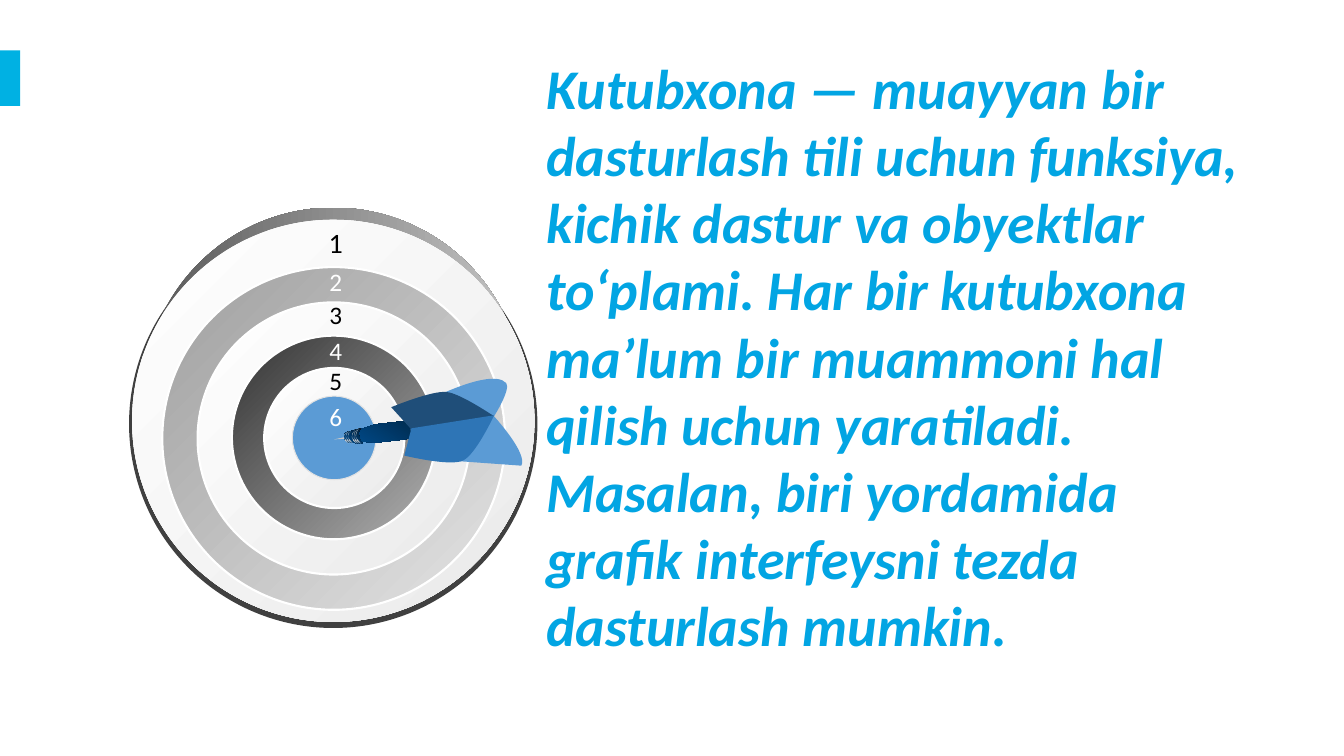
from dataclasses import dataclass
from math import cos, radians, sin

from pptx import Presentation
from pptx.dml.color import RGBColor
from pptx.dml.fill import FillFormat
from pptx.enum.shapes import MSO_SHAPE as Preset
from pptx.enum.text import MSO_ANCHOR as Anchor, PP_ALIGN as Align
from pptx.oxml.ns import qn
from pptx.oxml.xmlchemy import OxmlElement
from pptx.shapes.autoshape import Shape
from pptx.slide import Slide
from pptx.text.text import TextFrame
from pptx.util import Inches, Pt

FONT = "Calibri"
DART_TURN = 125.4
BLACK = RGBColor(0x00, 0x00, 0x00)
WHITE = RGBColor(0xFF, 0xFF, 0xFF)
PALE = RGBColor(0xEA, 0xEA, 0xEA)
RIM = RGBColor(0x40, 0x40, 0x40)
ACCENT = RGBColor(0x00, 0xB1, 0xE3)
TEXT_BLUE = RGBColor(0x02, 0xA5, 0xE3)
BLUE = RGBColor(0x5B, 0x9B, 0xD5)
MID_BLUE = RGBColor(0x2E, 0x75, 0xB6)
NAVY = RGBColor(0x1F, 0x4E, 0x79)
SILVER = RGBColor(0xC9, 0xC9, 0xC9)
EDGE_GRAY = RGBColor(0xE2, 0xE2, 0xE2)

Point = tuple[float, float]
Paint = tuple[RGBColor, ...]  # one colour is solid, two make a gradient
LIGHT: Paint = (WHITE, PALE)
GRAY: Paint = (RGBColor(0x9F, 0x9F, 0x9F), RGBColor(0xE4, 0xE4, 0xE4))
DARK: Paint = (RGBColor(0x33, 0x33, 0x33), RGBColor(0xB1, 0xB1, 0xB1))
SHADE: Paint = (RGBColor(0x58, 0x58, 0x58), RGBColor(0xC4, 0xC4, 0xC4))
STEEL: Paint = (RGBColor(0x00, 0x06, 0x0B), RGBColor(0x00, 0x61, 0xB2))

EXPLANATION = (
    "Kutubxona — muayyan bir dasturlash tili uchun funksiya, kichik dastur va "
    "obyektlar toʻplami. Har bir kutubxona maʼlum bir muammoni hal qilish uchun "
    "yaratiladi. Masalan, biri yordamida grafik interfeysni tezda dasturlash mumkin."
)


@dataclass(frozen=True)
class Disc:
    left: float
    top: float
    size: float
    paint: Paint
    line: RGBColor | None = None
    line_width: float = 1.5
    angle: float = 45


@dataclass(frozen=True)
class RingNumber:
    top: float
    color: RGBColor
    size: int = 18


@dataclass(frozen=True)
class DartPart:
    """Outline steps are end points (x, y) or Bézier curves of three points."""
    start: Point
    steps: tuple[tuple[float, ...], ...]
    paint: Paint


DISCS = [
    Disc(1.28, 2.18, 4.05, (RIM,)),
    Disc(1.42, 2.06, 3.77, SHADE, angle=0),
    Disc(1.31, 2.18, 3.99, LIGHT),
    Disc(1.61, 2.65, 3.4, GRAY, WHITE),
    Disc(1.96, 3, 2.7, LIGHT, WHITE),
    Disc(2.3, 3.33, 2.02, DARK, WHITE),
    Disc(2.62, 3.65, 1.39, LIGHT, WHITE),
    Disc(2.9, 3.93, 0.83, (BLUE,), EDGE_GRAY, 0.75),
]

NUMBERS = [
    RingNumber(2.31, BLACK, 20),
    RingNumber(2.7, WHITE),
    RingNumber(3.03, BLACK),
    RingNumber(3.38, WHITE),
    RingNumber(3.68, BLACK),
    RingNumber(4.04, WHITE),
]

DART = [
    # Barrel
    DartPart((3.74, 4.39), ((4.01, 4.36), (4.49, 4.25), (4.49, 4.25, 4.58, 4.26, 4.42, 4.2),
                            (3.99, 4.18), (3.72, 4.21), (3.51, 4.28),
                            (3.51, 4.28, 3.46, 4.33, 3.53, 4.38)), STEEL),
    # Flights
    DartPart((4.9, 4.13), ((4.9, 4.13, 5.07, 3.86, 5.02, 3.8),
                           (4.85, 3.62, 4.05, 4.07, 4.05, 4.07), (4.07, 4.25)), (BLUE,)),
    DartPart((5.17, 4.62), ((5.24, 4.5, 4.9, 4.13, 4.9, 4.13), (4.07, 4.26), (4.2, 4.55)),
             (BLUE,)),
    DartPart((4.9, 4.13), ((4.9, 4.13, 4.56, 3.9, 4.43, 3.89),
                           (4.29, 3.87, 3.88, 4.04, 3.88, 4.04), (4.08, 4.26)), (NAVY,)),
    DartPart((4.9, 4.12), ((4.9, 4.12, 4.72, 4.51, 4.59, 4.57),
                           (4.46, 4.63, 4.01, 4.52, 4.01, 4.52), (4.08, 4.25)), (MID_BLUE,)),
    # Point and sleeve
    DartPart((3.31, 4.36), ((3.45, 4.33), (3.47, 4.35)), (SILVER,)),
    DartPart((3.6, 4.4), ((3.6, 4.4, 3.57, 4.38, 3.56, 4.32),
                          (3.55, 4.27, 3.58, 4.25, 3.58, 4.25), (3.43, 4.29),
                          (3.43, 4.29, 3.38, 4.34, 3.45, 4.39)), STEEL),
]

# Right end and top of each grip band
BANDS = [(3.56, 4.26), (3.58, 4.25), (3.54, 4.27), (3.48, 4.28), (3.5, 4.28), (3.46, 4.29)]


def grip_band(right: float, top: float) -> DartPart:
    inner, outer = right - 0.04, right - 0.05
    return DartPart((right, 4.4), (
        (right - 0.03, 4.39, outer, 4.36, outer, 4.33),
        (outer, 4.31, inner, top + 0.02, right - 0.02, top),
        (inner, top + 0.02, outer - 0.01, 4.31, outer, 4.34),
    ), (SILVER,))


def apply_paint(fill: FillFormat, paint: Paint, angle: float) -> None:
    if len(paint) == 1:
        fill.solid()
        fill.fore_color.rgb = paint[0]
        return
    fill.gradient()
    fill.gradient_angle = (360 - angle) % 360
    for stop, color, position in zip(fill.gradient_stops, paint, (0, 1)):
        stop.color.rgb = color
        stop.position = position


def finish(shape: Shape, paint: Paint, angle: float = 0) -> None:
    shape.shadow.inherit = False
    shape.line.fill.background()
    apply_paint(shape.fill, paint, angle)


def add_disc(page: Slide, disc: Disc) -> None:
    shape = page.shapes.add_shape(Preset.OVAL, Inches(disc.left), Inches(disc.top),
                                  Inches(disc.size), Inches(disc.size))
    finish(shape, disc.paint, disc.angle)
    if disc.line is not None:
        shape.line.color.rgb = disc.line
        shape.line.width = Pt(disc.line_width)


def turn(point: Point, degrees: float) -> Point:
    x, y = point
    c, s = cos(radians(degrees)), sin(radians(degrees))
    return x * c - y * s, x * s + y * c


def bend(shape: Shape, steps: tuple[tuple[float, ...], ...]) -> None:
    """Join the three segments of each curved step into one Bézier curve."""
    segments = iter(list(shape.element.iter(qn("a:lnTo"))))
    for step in steps:
        group = [next(segments) for _ in range(len(step) // 2)]
        if len(group) == 3:
            curve = OxmlElement("a:cubicBezTo")
            group[0].addprevious(curve)
            for segment in group:
                curve.append(segment[0])
                segment.getparent().remove(segment)


def add_dart_part(page: Slide, part: DartPart) -> None:
    knots = [part.start]
    for step in part.steps:
        knots += zip(step[::2], step[1::2])
    corners = [(Inches(x), Inches(y)) for x, y in (turn(knot, -DART_TURN) for knot in knots)]
    builder = page.shapes.build_freeform(*corners[0])
    builder.add_line_segments(corners[1:], close=True)
    shape = builder.convert_to_shape()
    bend(shape, part.steps)
    center = (shape.left + shape.width / 2, shape.top + shape.height / 2)
    x, y = turn(center, DART_TURN)
    shape.left, shape.top = round(x - shape.width / 2), round(y - shape.height / 2)
    shape.rotation = DART_TURN
    finish(shape, part.paint)


def write(frame: TextFrame, text: str, size: int, color: RGBColor, strong: bool = False) -> None:
    frame.text = text
    span = frame.paragraphs[0].runs[0]
    span.font.name, span.font.size = FONT, Pt(size)
    span.font.bold = span.font.italic = strong
    span.font.color.rgb = color


def add_number(page: Slide, text: str, number: RingNumber) -> None:
    box = page.shapes.add_textbox(Inches(3.2), Inches(number.top), Inches(0.26), Inches(0.28))
    frame = box.text_frame
    write(frame, text, number.size, number.color)
    frame.word_wrap = False
    frame.margin_left = frame.margin_right = Inches(0.05)
    frame.vertical_anchor = Anchor.MIDDLE
    para = frame.paragraphs[0]
    para.alignment, para.line_spacing = Align.CENTER, 0.6


def main() -> None:
    deck = Presentation()
    deck.slide_width, deck.slide_height = Inches(13.33), Inches(7.5)
    page = deck.slides.add_slide(deck.slide_layouts[6])

    # Edge marker, target with numbered rings, dart
    marker = page.shapes.add_shape(Preset.RECTANGLE, 0, Inches(0.5), Inches(0.2), Inches(0.55))
    finish(marker, (ACCENT,))
    for disc in DISCS:
        add_disc(page, disc)
    for order, number in enumerate(NUMBERS, start=1):
        add_number(page, str(order), number)
    for part in DART + [grip_band(*band) for band in BANDS]:
        add_dart_part(page, part)

    # Explanation
    box = page.shapes.add_textbox(Inches(5.32), Inches(0.48), Inches(7.25), Inches(6.63))
    box.text_frame.word_wrap = True
    write(box.text_frame, EXPLANATION, 40, TEXT_BLUE, strong=True)

    deck.save("out.pptx")


if __name__ == "__main__":
    main()
